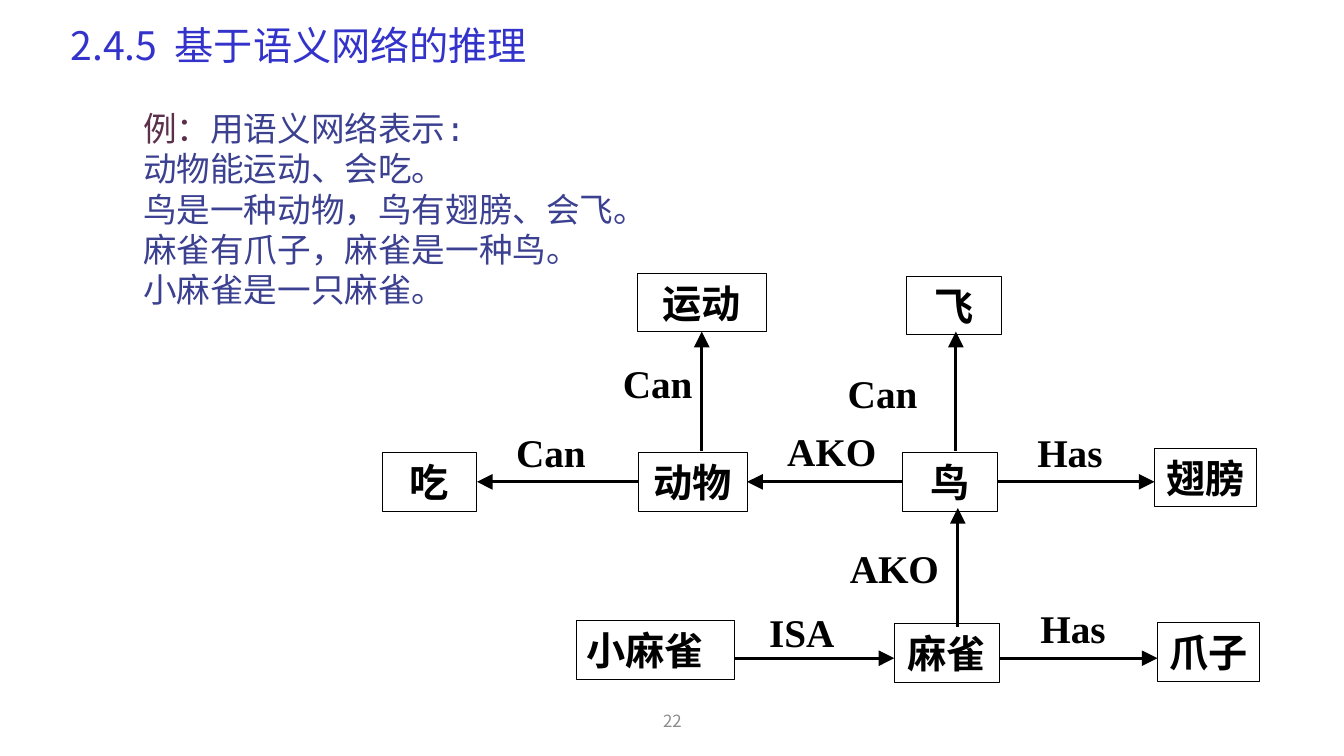
"""Build a slide on reasoning with semantic networks."""
import pptx
import pptx.dml.color
import pptx.enum.shapes
import pptx.enum.text
import pptx.oxml
import pptx.oxml.ns
import pptx.util
from lxml import etree

Inches = pptx.util.Inches
Pt = pptx.util.Pt
RGBColor = pptx.dml.color.RGBColor
ALIGN = pptx.enum.text.PP_ALIGN
ANCHOR = pptx.enum.text.MSO_ANCHOR

BLACK = RGBColor(0x00, 0x00, 0x00)
TITLE_BLUE = RGBColor(0x33, 0x33, 0xCC)
BODY_BLUE = RGBColor(0x3B, 0x40, 0x90)
PLUM = RGBColor(0x5C, 0x2F, 0x4B)
GRAY = RGBColor(0x8C, 0x8C, 0x8C)
CJK = "Noto Sans CJK SC"
LATIN = "Times New Roman"
MONO = "Courier New"
TOP, LEFT, BOTTOM, RIGHT = range(4)


def add_text(paragraph, text, font=CJK, size=28, color=BLACK, bold=False, align=ALIGN.LEFT):
    paragraph.alignment = align
    run = paragraph.add_run()
    run.text = text
    run.font.name = font
    run.font.size = Pt(size)
    run.font.bold = bold
    run.font.color.rgb = color
    properties = run.font._element
    etree.SubElement(properties, pptx.oxml.ns.qn("a:ea")).set("typeface", font)
    return run


def prepare_frame(shape, anchor=ANCHOR.MIDDLE):
    frame = shape.text_frame
    frame.word_wrap = True
    frame.auto_size = pptx.enum.text.MSO_AUTO_SIZE.NONE
    frame.vertical_anchor = anchor
    return frame


presentation = pptx.Presentation()
presentation.slide_width = Inches(13.33)
presentation.slide_height = Inches(7.5)
slide = presentation.slides.add_slide(presentation.slide_layouts[5])

title = slide.shapes.title
title.left, title.top = Inches(0.6), Inches(0.12)
title.width, title.height = Inches(9), Inches(0.71)
heading = prepare_frame(title).paragraphs[0]
heading.line_spacing = 0.9
add_text(heading, "2.4.5", color=TITLE_BLUE)
gap = add_text(heading, " ", color=TITLE_BLUE)
gap.font._element.set("spc", "600")
add_text(heading, "基于语义网络的推理", color=TITLE_BLUE)

number = slide.shapes.add_textbox(Inches(4.42), Inches(6.95), Inches(4.5), Inches(0.4))
add_text(prepare_frame(number).paragraphs[0], "22", size=12, color=GRAY, align=ALIGN.CENTER)

example = slide.shapes.add_textbox(Inches(1.32), Inches(1.02), Inches(8.61), Inches(2.39))
example_frame = prepare_frame(example, ANCHOR.TOP)
SENTENCES = [
    "用语义网络表示:",
    "动物能运动、会吃。",
    "鸟是一种动物，鸟有翅膀、会飞。",
    "麻雀有爪子，麻雀是一种鸟。",
    "小麻雀是一只麻雀。",
]
for index, sentence in enumerate(SENTENCES):
    paragraph = example_frame.add_paragraph() if index else example_frame.paragraphs[0]
    paragraph.line_spacing = Pt(28.8)
    if index == 0:
        add_text(paragraph, "例：", font=MONO, size=24, color=PLUM)
    add_text(paragraph, sentence, font=MONO, size=24, color=BODY_BLUE)

NODES = [
    ("运动", 6.32, 2.71, 1.28),
    ("飞", 8.99, 2.74, 0.94),
    ("吃", 3.79, 4.49, 0.94),
    ("动物", 6.33, 4.49, 1.08),
    ("鸟", 8.95, 4.49, 0.94),
    ("翅膀", 11.45, 4.45, 1.01),
    ("小麻雀", 5.72, 6.16, 1.57),
    ("麻雀", 8.87, 6.19, 1.04),
    ("爪子", 11.48, 6.18, 1.01),
]
nodes = {}
for name, left, top, width in NODES:
    node = slide.shapes.add_shape(
        pptx.enum.shapes.MSO_SHAPE.RECTANGLE,
        Inches(left), Inches(top), Inches(width), Inches(0.58))
    node.shadow.inherit = False
    node.fill.background()
    node.line.color.rgb = BLACK
    node.line.width = Pt(0.75)
    align = ALIGN.LEFT if name == "小麻雀" else ALIGN.CENTER
    add_text(prepare_frame(node).paragraphs[0], name, bold=True, align=align)
    nodes[name] = node

RELATIONS = [
    ((6.96, 4.47), (6.96, 3.29), None, ("运动", BOTTOM)),
    ((9.48, 4.47), (9.48, 3.29), None, None),
    ((6.33, 4.78), (4.73, 4.78), ("动物", LEFT), ("吃", RIGHT)),
    ((8.95, 4.78), (7.41, 4.78), ("鸟", LEFT), ("动物", RIGHT)),
    ((9.89, 4.78), (11.45, 4.78), ("鸟", RIGHT), None),
    ((9.5, 6.22), (9.5, 5.04), None, None),
    ((7.29, 6.53), (8.87, 6.53), None, None),
    ((9.91, 6.53), (11.48, 6.53), None, None),
]
for start, end, source, target in RELATIONS:
    arrow = slide.shapes.add_connector(
        pptx.enum.shapes.MSO_CONNECTOR.STRAIGHT,
        *[Inches(value) for value in start + end])
    if source:
        arrow.begin_connect(nodes[source[0]], source[1])
    if target:
        arrow.end_connect(nodes[target[0]], target[1])
    arrow.line.color.rgb = BLACK
    arrow.line.width = Pt(2.25)
    line = arrow.line._get_or_add_ln()
    head = etree.SubElement(line, pptx.oxml.ns.qn("a:tailEnd"))
    for key, value in (("type", "triangle"), ("w", "lg"), ("len", "lg")):
        head.set(key, value)
    etree.SubElement(arrow._element.spPr, pptx.oxml.ns.qn("a:effectLst"))

LABELS = [
    ("Can", 6.08, 3.51),
    ("Can", 8.31, 3.61),
    ("Can", 5.02, 4.2),
    ("AKO", 7.71, 4.19),
    ("Has", 10.19, 4.2),
    ("AKO", 8.33, 5.35),
    ("ISA", 7.53, 5.98),
    ("Has", 10.22, 5.94),
]
for text, left, top in LABELS:
    label = slide.shapes.add_textbox(Inches(left), Inches(top), Inches(1.24), Inches(0.57))
    add_text(prepare_frame(label).paragraphs[0], text, font=LATIN, bold=True)

presentation.save("out.pptx")
